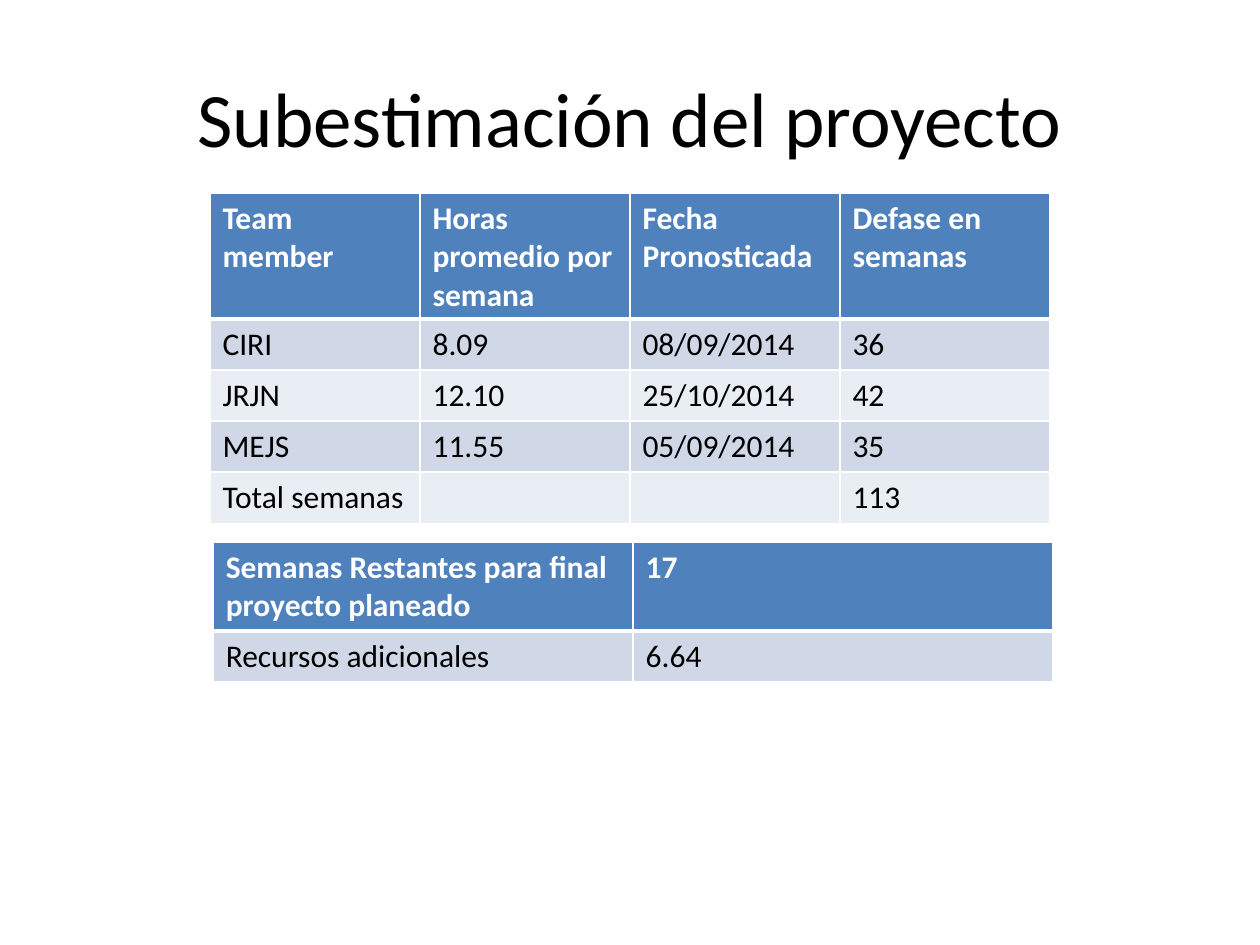
from dataclasses import dataclass

from lxml import etree
from pptx import Presentation
from pptx.dml.color import RGBColor
from pptx.enum.text import MSO_ANCHOR, PP_ALIGN
from pptx.oxml.ns import qn
from pptx.slide import Slide
from pptx.table import _Cell
from pptx.util import Pt

CENTER = PP_ALIGN.CENTER
MIDDLE = MSO_ANCHOR.MIDDLE


@dataclass(frozen=True)
class Theme:
    font: str = "Calibri"
    title_size: float = 44
    table_size: float = 18
    text: str = "000000"
    header_text: str = "FFFFFF"
    header_fill: str = "4F81BD"
    bands: tuple[str, str] = ("D0D8E8", "E9EDF4")
    border: str = "FFFFFF"
    thin: float = 1
    thick: float = 3


@dataclass(frozen=True)
class Grid:
    left: float
    top: float
    column_width: float
    header_height: float
    rows: list[list[str]]


THEME = Theme()
ROW_HEIGHT = 29.2

MEMBER_DELAYS = Grid(120, 110.2, 120, 71.8, [
    ["Team member", "Horas promedio por semana", "Fecha Pronosticada", "Defase en semanas"],
    ["CIRI", "8.09", "08/09/2014", "36"],
    ["JRJN", "12.10", "25/10/2014", "42"],
    ["MEJS", "11.55", "05/09/2014", "35"],
    ["Total semanas", "", "", "113"],
])
EXTRA_RESOURCES = Grid(121.8, 309.8, 240, 50.7, [
    ["Semanas Restantes para final proyecto planeado", "17"],
    ["Recursos adicionales", "6.64"],
])


def draw_title(slide: Slide, wording: str) -> None:
    title = slide.shapes.add_textbox(Pt(36), Pt(21.6), Pt(648), Pt(90))
    frame = title.text_frame
    frame.word_wrap = True
    frame.vertical_anchor = MIDDLE
    frame.text = wording
    paragraph = frame.paragraphs[0]
    paragraph.alignment = CENTER
    font = paragraph.runs[0].font
    font.name = THEME.font
    font.size = Pt(THEME.title_size)
    font.color.rgb = RGBColor.from_string(THEME.text)


def draw_borders(cell: _Cell, top: float, bottom: float) -> None:
    properties = cell._tc.get_or_add_tcPr()
    widths = {"L": THEME.thin, "R": THEME.thin, "T": top, "B": bottom}
    for side, width in widths.items():
        line = etree.SubElement(properties, qn(f"a:ln{side}"), w=str(Pt(width)))
        fill = etree.SubElement(line, qn("a:solidFill"))
        etree.SubElement(fill, qn("a:srgbClr"), val=THEME.border)


def style_cell(cell: _Cell, wording: str, row: int) -> None:
    is_header = row == 0
    draw_borders(
        cell,
        top=THEME.thick if row == 1 else THEME.thin,
        bottom=THEME.thick if is_header else THEME.thin,
    )
    fill = THEME.header_fill if is_header else THEME.bands[(row - 1) % 2]
    cell.fill.solid()
    cell.fill.fore_color.rgb = RGBColor.from_string(fill)
    cell.text_frame.text = wording
    for run in cell.text_frame.paragraphs[0].runs:
        run.font.name = THEME.font
        run.font.size = Pt(THEME.table_size)
        run.font.bold = is_header
        color = THEME.header_text if is_header else THEME.text
        run.font.color.rgb = RGBColor.from_string(color)


def draw_grid(slide: Slide, grid: Grid) -> None:
    row_count, column_count = len(grid.rows), len(grid.rows[0])
    height = grid.header_height + ROW_HEIGHT * (row_count - 1)
    table = slide.shapes.add_table(
        row_count, column_count, Pt(grid.left), Pt(grid.top),
        Pt(grid.column_width * column_count), Pt(height),
    ).table
    for column in table.columns:
        column.width = Pt(grid.column_width)
    for index, wordings in enumerate(grid.rows):
        table.rows[index].height = Pt(ROW_HEIGHT if index else grid.header_height)
        for cell, wording in zip(table.rows[index].cells, wordings):
            style_cell(cell, wording, index)


def main() -> None:
    presentation = Presentation()
    presentation.slide_width = Pt(720)
    presentation.slide_height = Pt(540)
    slide = presentation.slides.add_slide(presentation.slide_layouts[6])
    draw_title(slide, "Subestimación del proyecto")
    for grid in (MEMBER_DELAYS, EXTRA_RESOURCES):
        draw_grid(slide, grid)
    presentation.save("out.pptx")


if __name__ == "__main__":
    main()
